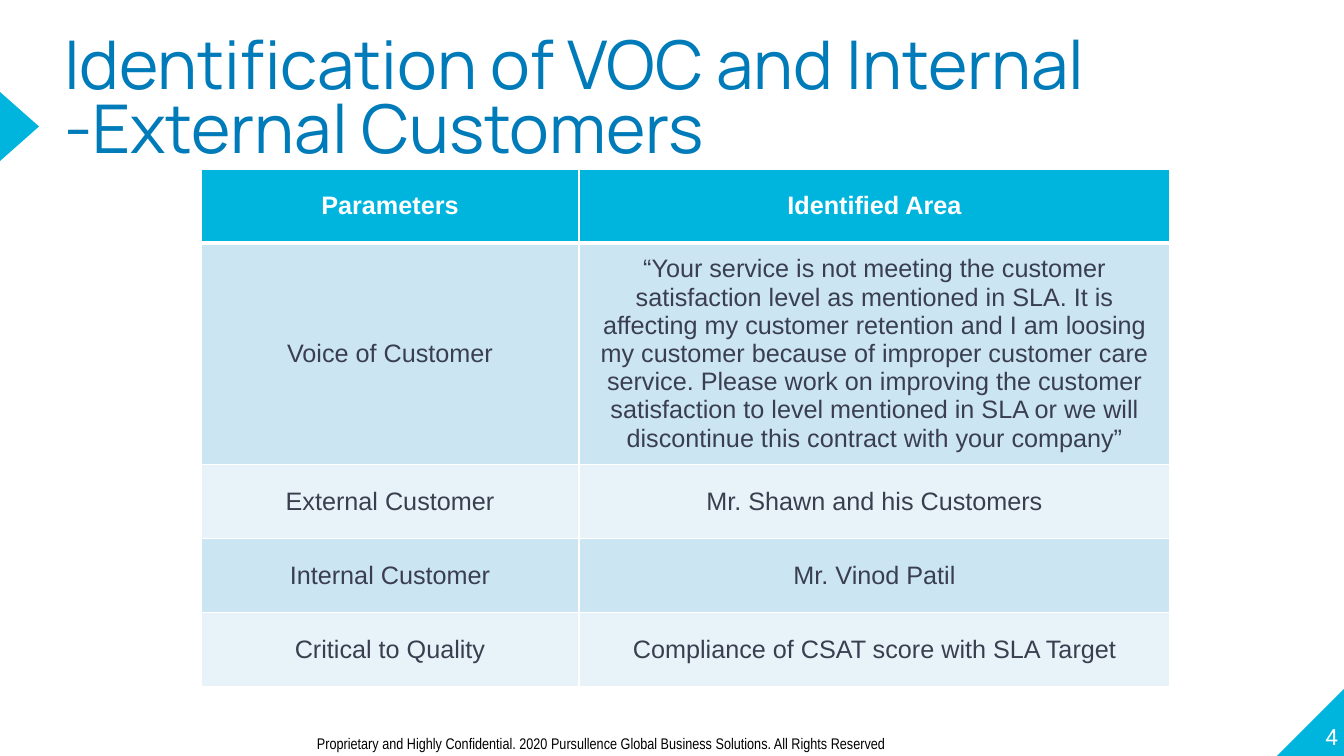
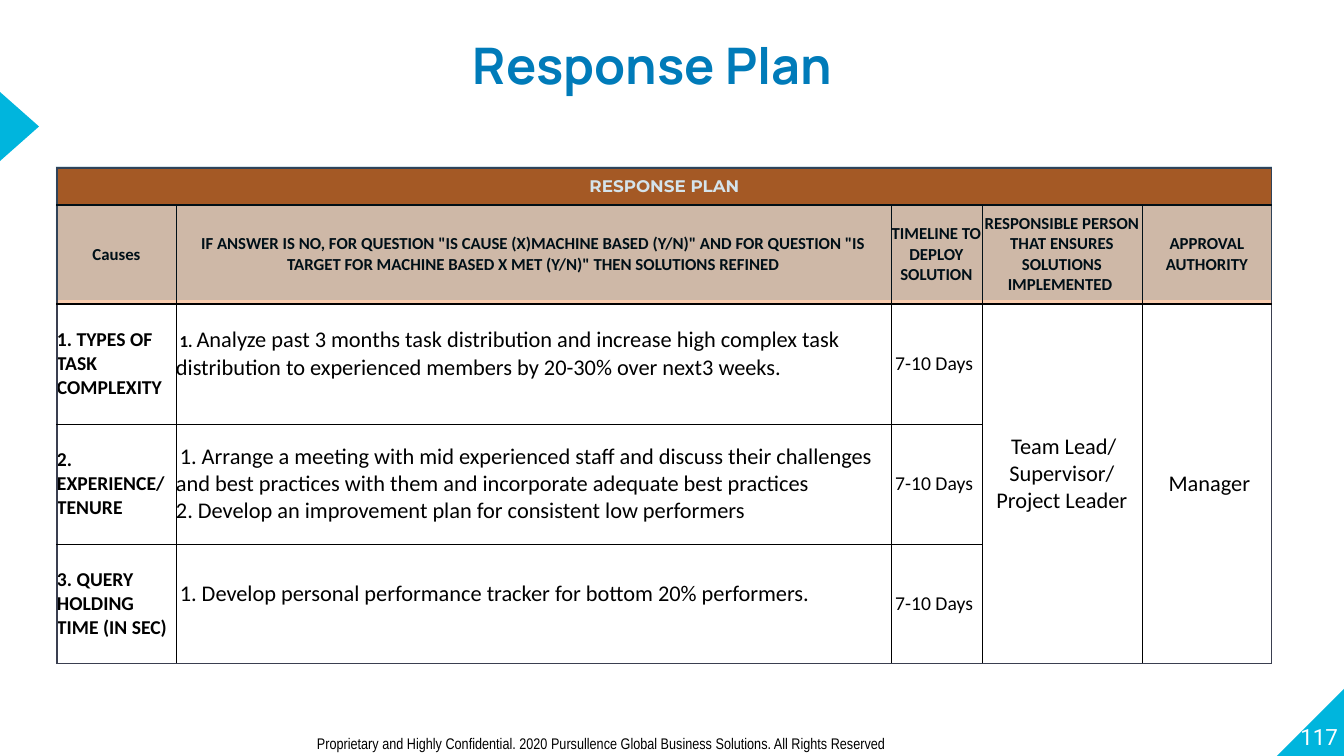
from lxml import etree
from pptx import Presentation
from pptx import util as u
from pptx.dml.color import RGBColor
from pptx.enum import shapes, text
from pptx.oxml.ns import qn

PX = 914400 / 100.8
COLORS = {
    "cyan": "00B5DD", "blue": "007BB9", "navy": "005C8B", "slate": "3A3F50",
    "white": "FFFFFF", "black": "000000", "band": "CCE5F2", "pale": "E7F3F9",
    "rust": "C65911", "peach": "F8CBAD",
}
FOOTER = ("Proprietary and Highly Confidential. 2020 Pursullence Global "
          "Business Solutions. All Rights Reserved")


def px(*lengths):
    return [u.Emu(round(n * PX)) for n in lengths]


def write(frame, content, font="Calibri", size=12, color="black", bold=False,
          align="CENTER", anchor="MIDDLE", margins=(0, 0, 0, 0), spacing=None):
    """Fill a text frame or cell. Content is a string or a list of paragraphs,
    each of them a list of (text, size, bold) runs."""
    if isinstance(content, str):
        content = [[(content, size, bold)]]
    frame.vertical_anchor = text.MSO_ANCHOR[anchor]
    (frame.margin_left, frame.margin_top,
     frame.margin_right, frame.margin_bottom) = px(*margins)
    body = getattr(frame, "text_frame", frame)
    body.word_wrap = True
    for i, runs in enumerate(content):
        paragraph = body.add_paragraph() if i else body.paragraphs[0]
        paragraph.alignment = text.PP_ALIGN[align]
        if spacing:
            paragraph.line_spacing = spacing
        for words, run_size, run_bold in runs:
            run = paragraph.add_run()
            run.text = words
            run.font.name = font
            run.font.size = u.Pt(run_size)
            run.font.bold = run_bold
            run.font.color.rgb = RGBColor.from_string(COLORS[color])


def paint_cell(cell, fill, edges):
    """Set the fill and the left, right, top and bottom lines, each of them
    (color, points) or None."""
    if fill:
        cell.fill.solid()
        cell.fill.fore_color.rgb = RGBColor.from_string(COLORS[fill])
    else:
        cell.fill.background()
    props = cell._tc.get_or_add_tcPr()
    for i, (side, edge) in enumerate(zip("LRTB", edges)):
        line = etree.Element(qn(f"a:ln{side}"))
        if edge:
            color, points = edge
            line.set("w", str(u.Pt(points)))
            solid = etree.SubElement(line, qn("a:solidFill"))
            etree.SubElement(solid, qn("a:srgbClr"), val=COLORS[color])
        else:
            etree.SubElement(line, qn("a:noFill"))
        props.insert(i, line)


deck = Presentation()
deck.slide_width, deck.slide_height = px(1344, 756)
title_only = deck.slide_layouts[5]

# Shared parts: corner, side arrow, page number, footer, title, empty table
pages = [
    dict(number="4", title="Identification of VOC and Internal -External Customers",
         title_at=(64, 63, 1259, 78),
         title_style=dict(size=48, align="LEFT", spacing=0.8),
         table_at=(201, 169), columns=[378, 591], rows=[74] * 5),
    dict(number="117", title="Response Plan",
         title_at=(163, 4, 979, 77),
         title_style=dict(size=36, bold=True, anchor="TOP", spacing=1.5),
         table_at=(57, 168), columns=[119, 715, 91, 160, 130],
         rows=[37, 99, 120, 120, 120]),
]
slides, tables = [], []
for page in pages:
    slide = deck.slides.add_slide(title_only)
    slides.append(slide)
    corner = slide.shapes.add_shape(
        shapes.MSO_SHAPE.RIGHT_TRIANGLE, *px(1277, 687, 69, 69))
    corner._element.spPr.get_or_add_xfrm().set("flipH", "1")
    arrow = slide.shapes.add_shape(
        shapes.MSO_SHAPE.ISOSCELES_TRIANGLE, *px(-15, 107, 69, 39))
    arrow.rotation = 90
    for accent in (corner, arrow):
        accent.shadow.inherit = False
        accent.fill.solid()
        accent.fill.fore_color.rgb = RGBColor.from_string(COLORS["cyan"])
        accent.line.fill.background()

    number = slide.shapes.add_textbox(*px(1271, 681, 67, 69))
    write(number.text_frame, page["number"], font="Roboto", size=16,
          color="white", align="RIGHT", anchor="BOTTOM")
    footer = slide.shapes.add_textbox(*px(307, 729, 858, 29))
    write(footer.text_frame, FOOTER, font="Arial Narrow", size=11,
          align="LEFT", anchor="TOP", margins=(10, 5, 10, 5))

    title = slide.shapes.title
    title.left, title.top, title.width, title.height = px(*page["title_at"])
    title.text_frame.auto_size = text.MSO_AUTO_SIZE.NONE
    write(title.text_frame, page["title"], font="Manrope", color="blue",
          **page["title_style"])

    columns, rows = page["columns"], page["rows"]
    table = slide.shapes.add_table(
        len(rows), len(columns),
        *px(*page["table_at"], sum(columns), sum(rows))).table
    table.first_row = table.horz_banding = False
    for column, width in zip(table.columns, px(*columns)):
        column.width = width
    for row, height in zip(table.rows, px(*rows)):
        row.height = height
    tables.append(table)

# Voice of customer
customer_table, response_table = tables
customer_rows = [
    ("Parameters", "Identified Area"),
    ("Voice of Customer",
     "“Your service is not meeting the customer satisfaction level as mentioned "
     "in SLA. It is affecting my customer retention and I am loosing my customer "
     "because of improper customer care service. Please work on improving the "
     "customer satisfaction to level mentioned in SLA or we will discontinue "
     "this contract with your company”"),
    ("External Customer", "Mr. Shawn and his Customers"),
    ("Internal Customer", "Mr. Vinod Patil"),
    ("Critical to Quality", "Compliance of CSAT score with SLA Target"),
]
thin, thick = ("white", 1), ("white", 3)
for r, row in enumerate(customer_rows):
    header = r == 0
    fill = "cyan" if header else "band" if r % 2 else "pale"
    edges = (thin, thin, thick if r == 1 else thin, thick if header else thin)
    for c, words in enumerate(row):
        cell = customer_table.cell(r, c)
        paint_cell(cell, fill, edges)
        write(cell, words, font="Arial", size=18, bold=header,
              color="white" if header else "slate", margins=(10, 5, 10, 5))

# Response plan
headings = [
    "Causes",
    'IF ANSWER IS NO, FOR QUESTION "IS CAUSE (X)MACHINE BASED (Y/N)" AND FOR '
    'QUESTION "IS TARGET FOR MACHINE BASED X MET (Y/N)" THEN SOLUTIONS REFINED',
    "TIMELINE TO DEPLOY SOLUTION",
    "RESPONSIBLE PERSON THAT ENSURES SOLUTIONS IMPLEMENTED ",
    "APPROVAL AUTHORITY",
]
# Cause, solution paragraphs, space kept free below the solution
causes = [
    ("1. TYPES OF TASK COMPLEXITY",
     [[(" 1. ", 12, True),
       ("Analyze past 3 months task distribution and increase high complex task "
        "distribution to experienced members by 20-30% over next3 weeks.",
        16, False)]], 20),
    ("2. EXPERIENCE/ TENURE",
     [[(" ", 12, True),
       ("1. Arrange a meeting with mid experienced staff and discuss their "
        "challenges and best practices with them and incorporate adequate best "
        "practices", 16, False)],
      [("2. Develop an improvement plan for consistent low performers",
        16, False)]], 0),
    ("3. QUERY HOLDING TIME (IN SEC)",
     [[(" ", 12, True),
       ("1. Develop personal performance tracker for bottom 20% performers.",
        16, False)]], 20),
]
outer, rule, hair = ("slate", 1), ("black", 1), ("black", 0.5)
last_row, last_column = 4, 4
for r in range(last_row + 1):
    for c in range(last_column + 1):
        inner = None if c >= 3 else hair
        edges = (outer if c == 0 else hair,
                 outer if c == last_column or r == 0 else hair,
                 outer if r == 0 else rule if r <= 2 else inner,
                 outer if r == last_row else rule if r <= 1 else inner)
        fill = {0: "rust", 1: "peach"}.get(r)
        paint_cell(response_table.cell(r, c), fill, edges)

response_table.cell(0, 0).merge(response_table.cell(0, last_column))
write(response_table.cell(0, 0), "RESPONSE PLAN", font="Montserrat",
      color="white", bold=True)
for c, heading in enumerate(headings):
    write(response_table.cell(1, c), heading, bold=True)
for r, (cause, solution, space_below) in enumerate(causes, start=2):
    write(response_table.cell(r, 0), cause, size=14, bold=True, align="LEFT")
    write(response_table.cell(r, 1), solution, align="LEFT",
          margins=(0, 0, 0, space_below))
    write(response_table.cell(r, 2), "7-10 Days ", size=14)
owners = [("Team Lead/ Supervisor/ Project Leader", 12, 20), ("Manager", 16, 0)]
for c, (owner, lead_size, space_below) in enumerate(owners, start=3):
    write(response_table.cell(3, c),
          [[(" ", lead_size, True), (owner, 16, False)]],
          margins=(0, 0, 0, space_below))

header_tint = slides[1].shapes.add_shape(
    shapes.MSO_SHAPE.RECTANGLE, *px(56, 166, 1216, 134))
header_tint.shadow.inherit = False
header_tint.line.fill.background()
header_tint.fill.solid()
header_tint.fill.fore_color.rgb = RGBColor.from_string(COLORS["navy"])
tint_color = header_tint._element.spPr.find(f".//{qn('a:srgbClr')}")
etree.SubElement(tint_color, qn("a:alpha"), val="17000")

deck.save("out.pptx")
